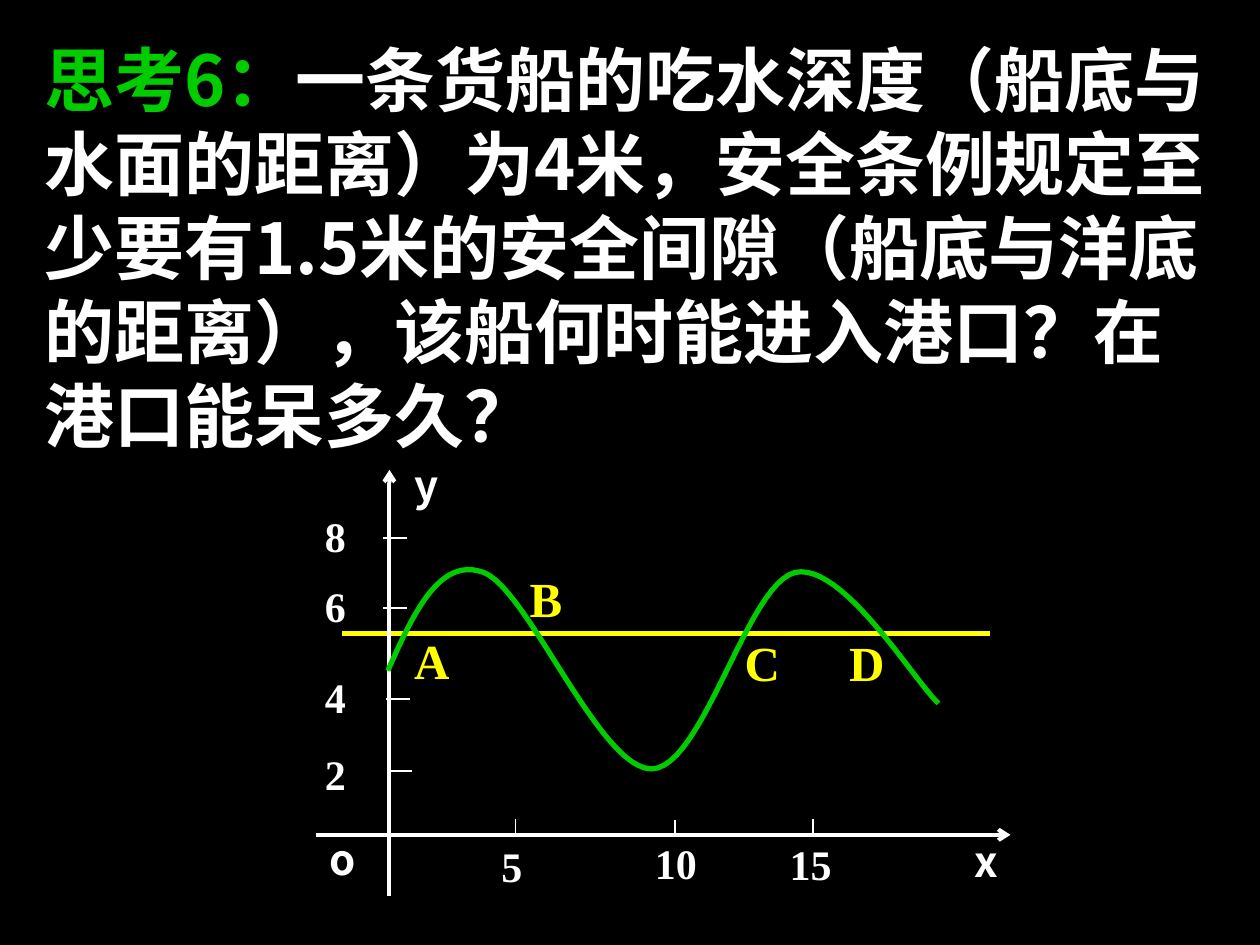
import pptx
import pptx.util
from pptx.dml.color import RGBColor
from pptx.enum.shapes import MSO_CONNECTOR
from pptx.enum.text import PP_ALIGN
from pptx.oxml.ns import qn
from lxml import etree

Cm, Pt = pptx.util.Cm, pptx.util.Pt
SANS, SERIF = "Noto Sans CJK SC", "Times New Roman"
WHITE, GREEN, YELLOW = "FFFFFF", "00CC00", "FFFF00"
LABEL = {"size": Pt(24), "bold": True, "name": SERIF}
AXIS_NAME = {**LABEL, "name": SANS}
POINT = {**LABEL, "size": Pt(28)}
BODY = {**AXIS_NAME, "size": Pt(40)}


def color(value):
    return RGBColor.from_string(value)


def bezier(p0, p1, p2, p3, steps=24):
    """Points on a cubic curve after its start."""
    for i in range(1, steps + 1):
        t = i / steps
        u = 1 - t
        yield tuple(u**3 * a + 3 * u * u * t * b + 3 * u * t * t * c + t**3 * d
                    for a, b, c, d in zip(p0, p1, p2, p3))


class Deck:
    """Style and current slide."""

    def __init__(self, prs):
        self.s = prs.slides.add_slide(prs.slide_layouts[6])
        fill = self.s.background.fill
        fill.solid()
        fill.fore_color.rgb = color("000000")

    def text(self, x, y, w, h, runs, fmt, align=PP_ALIGN.JUSTIFY, spacing=None):
        tf = self.s.shapes.add_textbox(Cm(x), Cm(y), Cm(w), Cm(h)).text_frame
        tf.word_wrap = True
        p = tf.paragraphs[0]
        p.alignment = align
        p.line_spacing = spacing
        for words, rgb in runs:
            r = p.add_run()
            r.text = words
            for key, value in fmt.items():
                setattr(r.font, key, value)
            r.font.color.rgb = color(rgb)
            ea = etree.SubElement(r.font._element, qn("a:ea"))
            ea.set("typeface", fmt["name"])

    def line(self, x1, y1, x2, y2, rgb=WHITE, width=1, arrow=False):
        sp = self.s.shapes.add_connector(
            MSO_CONNECTOR.STRAIGHT, Cm(x1), Cm(y1), Cm(x2), Cm(y2))
        sp.line.color.rgb = color(rgb)
        sp.line.width = Pt(width)
        if arrow:
            ln = sp._element.spPr.find(qn("a:ln"))
            etree.SubElement(ln, qn("a:tailEnd"), type="arrow")
        etree.SubElement(sp._element.spPr, qn("a:effectLst"))

    def curve(self, points, rgb, width):
        start, rest = points[0], points[1:]
        fb = self.s.shapes.build_freeform(Cm(start[0]), Cm(start[1]))
        fb.add_line_segments([(Cm(x), Cm(y)) for x, y in rest], close=False)
        sp = fb.convert_to_shape()
        sp.shadow.inherit = False
        sp.fill.background()
        sp.line.color.rgb = color(rgb)
        sp.line.width = Pt(width)


def main():
    prs = pptx.Presentation()
    prs.slide_width, prs.slide_height = Cm(25.4), Cm(19.05)
    deck = Deck(prs)

    # Problem statement
    deck.text(0.65, 0.61, 24.05, 8.74, [
        ("思考6：", GREEN),
        ("一条货船的吃水深度（船底与水面的距离）为4米，安全条例规定至少要有1.5米的"
         "安全间隙（船底与洋底的距离），该船何时能进入港口？在港口能呆多久？", WHITE),
    ], BODY, PP_ALIGN.LEFT, Pt(48))

    # Safe depth and its crossings
    deck.line(6.9, 12.77, 19.95, 12.77, YELLOW, 3)
    for name, x, y, w, h in (("A", 8.1, 12.59, 2.36, 1.83), ("B", 10.43, 11.33, 2.11, 2.03),
                             ("C", 14.76, 12.62, 2.24, 1.85), ("D", 16.87, 12.62, 1.85, 1.75)):
        deck.text(x, y, w, h, [(name, YELLOW)], POINT)

    # Axes
    deck.line(6.37, 16.83, 20.37, 16.83, width=2.25, arrow=True)
    deck.line(7.85, 18.06, 7.85, 9.47, width=2.25, arrow=True)
    for name, x, y, w, h in (("o", 6.4, 16.67, 1.37, 1.78), ("x", 19.4, 16.71, 1.9, 1.27),
                             ("y", 8.1, 9.13, 1.85, 1.8)):
        deck.text(x, y, w, h, [(name, WHITE)], AXIS_NAME, spacing=Pt(28.8))

    # Water depth
    knots = [(7.82, 13.52), (8.33, 12.37), (8.86, 11.21), (9.75, 11.54),
             (10.64, 11.87), (12.09, 15.5), (13.13, 15.5),
             (14.17, 15.5), (15.06, 11.77), (16.03, 11.54),
             (16.99, 11.33), (18.44, 13.74), (18.92, 14.18)]
    points = [knots[0]]
    for i in range(0, len(knots) - 1, 3):
        points.extend(bezier(*knots[i:i + 4]))
    deck.curve(points, GREEN, 3)

    # Ticks and values
    for name, x, y, top, w, h in (("2", 7.82, 15.54, 14.96, 2.67, 1.85),
                                  ("4", 7.78, 14.09, 13.42, 1.93, 1.42),
                                  ("6", 7.73, 12.26, 11.57, 2.59, 1.85),
                                  ("8", 7.73, 10.85, 10.16, 2.39, 1.45)):
        deck.line(x, y, x + 0.48, y)
        deck.text(6.3, top, w, h, [(name, WHITE)], LABEL)
    for name, x, y, left, top, w, h in (("5", 10.39, 16.5, 9.86, 16.81, 1.9, 1.09),
                                        ("10", 13.61, 16.53, 12.95, 16.76, 2.34, 1.09),
                                        ("15", 16.39, 16.5, 15.67, 16.77, 2.44, 1.35)):
        deck.line(x, y, x, y + 0.34)
        deck.text(left, top, w, h, [(name, WHITE)], LABEL)

    prs.save("out.pptx")


if __name__ == "__main__":
    main()
